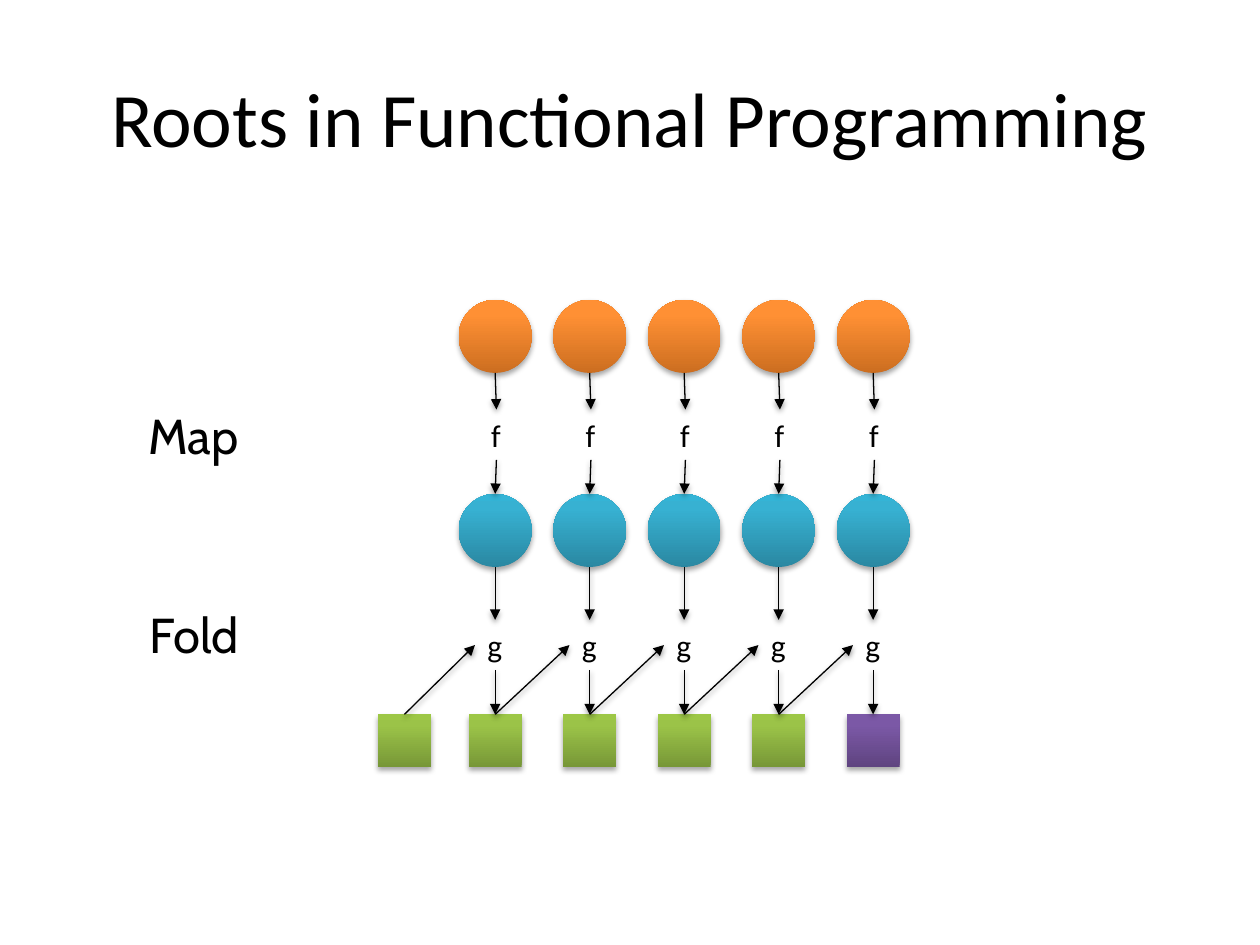
from copy import deepcopy
from dataclasses import dataclass

from lxml import etree
from pptx import Presentation
from pptx.dml.color import RGBColor
from pptx.enum.dml import MSO_FILL
from pptx.enum.shapes import MSO_CONNECTOR, MSO_SHAPE
from pptx.enum.text import MSO_ANCHOR, MSO_AUTO_SIZE, PP_ALIGN
from pptx.oxml.ns import qn
from pptx.shapes.autoshape import Shape
from pptx.shapes.connector import Connector
from pptx.slide import Slide
from pptx.util import Inches, Pt

CIRCLE, SQUARE = MSO_SHAPE.OVAL, MSO_SHAPE.RECTANGLE
STRAIGHT = MSO_CONNECTOR.STRAIGHT
CENTER, MIDDLE = PP_ALIGN.CENTER, MSO_ANCHOR.MIDDLE
FIT_SHAPE = MSO_AUTO_SIZE.SHAPE_TO_FIT_TEXT
GRADIENT = MSO_FILL.GRADIENT
TOP, LEFT, BOTTOM = 0, 1, 2

BLACK = RGBColor(0x00, 0x00, 0x00)
ORANGE = (RGBColor(0xCC, 0x6E, 0x20), RGBColor(0xFF, 0x90, 0x34), RGBColor(0xFF, 0x91, 0x36))
BLUE = (RGBColor(0x2A, 0x88, 0xA2), RGBColor(0x37, 0xB1, 0xD2), RGBColor(0x34, 0xB4, 0xD6))
GREEN = (RGBColor(0x77, 0x97, 0x37), RGBColor(0x9B, 0xC3, 0x48), RGBColor(0x9D, 0xC7, 0x46))
PURPLE = (RGBColor(0x5F, 0x44, 0x80), RGBColor(0x7B, 0x58, 0xA6), RGBColor(0x7C, 0x57, 0xA8))
STOP_POSITIONS = (0, 0.8, 1)

# Column grid and row tops, in inches
COLUMNS = 5
FIRST_CENTER, COLUMN_STEP = 3.93, 0.75
SEED_CENTER = 3.21
INPUT_TOP, F_TOP, MAPPED_TOP, G_TOP, RESULT_TOP = 2.38, 3.25, 3.92, 4.92, 5.67
CIRCLE_SIZE, SQUARE_SIZE = 0.58, 0.42


@dataclass(frozen=True)
class Label:
    text: str
    left: float
    top: float
    width: float
    height: float
    size: int = 18
    font: str = "Calibri"


@dataclass(frozen=True)
class Site:
    """A connection site on a shape."""
    shape: Shape
    index: int


def add_shadow(item: Shape | Connector, distance: float, opacity: int) -> None:
    properties = item._element.spPr
    for old in properties.findall(qn("a:effectLst")):
        properties.remove(old)
    effects = etree.SubElement(properties, qn("a:effectLst"))
    shadow = etree.SubElement(effects, qn("a:outerShdw"), blurRad=str(Pt(3.1)),
                              dist=str(Pt(distance)), dir="5400000", rotWithShape="0")
    color = etree.SubElement(shadow, qn("a:srgbClr"), val=str(BLACK))
    etree.SubElement(color, qn("a:alpha"), val=str(opacity * 1000))


def add_node(slide: Slide, kind: MSO_SHAPE, center: float, top: float,
             size: float, colors: tuple[RGBColor, ...]) -> Shape:
    shape = slide.shapes.add_shape(kind, Inches(center - size / 2), Inches(top),
                                   Inches(size), Inches(size))
    shape.line.fill.background()
    shape.fill.gradient()
    shape.fill.gradient_angle = 90
    stop_list = shape._element.spPr.find(f".//{qn('a:gsLst')}")
    stop_list.append(deepcopy(stop_list[-1]))
    for stop, color, position in zip(shape.fill.gradient_stops, colors, STOP_POSITIONS):
        stop.color.rgb = color
        stop.position = position
    add_shadow(shape, 1.8, 35)
    return shape


def add_label(slide: Slide, label: Label) -> Shape:
    box = slide.shapes.add_textbox(Inches(label.left), Inches(label.top),
                                   Inches(label.width), Inches(label.height))
    box.text_frame.word_wrap = False
    box.text_frame.auto_size = FIT_SHAPE
    paragraph = box.text_frame.paragraphs[0]
    paragraph.text = label.text
    paragraph.font.size = Pt(label.size)
    paragraph.font.name = label.font
    paragraph.font.color.rgb = BLACK
    return box


def add_arrow(slide: Slide, begin: Site, end: Site) -> None:
    start = begin.shape
    # A circle's lowest point is set by position; other sites are joined
    begin_x, begin_y = start.left + start.width // 2, start.top + start.height
    arrow = slide.shapes.add_connector(STRAIGHT, begin_x, begin_y, begin_x, begin_y)
    if start.fill.type != GRADIENT or begin.index != BOTTOM:
        arrow.begin_connect(start, begin.index)
    arrow.end_connect(end.shape, end.index)
    arrow.line.color.rgb = BLACK
    arrow.line.width = Pt(0.75)
    etree.SubElement(arrow.line._get_or_add_ln(), qn("a:tailEnd"), type="triangle")
    add_shadow(arrow, 1.6, 38)


def add_title(slide: Slide, text: str) -> None:
    title = slide.shapes.title
    title.left, title.top = Inches(0.5), Inches(0.3)
    title.width, title.height = Inches(9), Inches(1.25)
    title.text_frame.vertical_anchor = MIDDLE
    paragraph = title.text_frame.paragraphs[0]
    paragraph.text = text
    paragraph.alignment = CENTER
    paragraph.font.size = Pt(44)
    paragraph.font.name = "Calibri"
    paragraph.font.color.rgb = BLACK


def main() -> None:
    presentation = Presentation()
    presentation.slide_width, presentation.slide_height = Inches(10), Inches(7.5)
    slide = presentation.slides.add_slide(presentation.slide_layouts[5])
    add_title(slide, "Roots in Functional Programming")

    # Row names
    add_label(slide, Label("Map", 1.08, 3.17, 1.06, 0.57, 28, "Cabin"))
    add_label(slide, Label("Fold", 1.09, 4.75, 1.01, 0.57, 28, "Cabin"))

    # Each column maps its input with f, then folds it into the previous result with g
    previous = add_node(slide, SQUARE, SEED_CENTER, RESULT_TOP, SQUARE_SIZE, GREEN)
    for column in range(COLUMNS):
        center = FIRST_CENTER + column * COLUMN_STEP
        result_colors = PURPLE if column == COLUMNS - 1 else GREEN
        source = add_node(slide, CIRCLE, center, INPUT_TOP, CIRCLE_SIZE, ORANGE)
        mapped = add_node(slide, CIRCLE, center, MAPPED_TOP, CIRCLE_SIZE, BLUE)
        result = add_node(slide, SQUARE, center, RESULT_TOP, SQUARE_SIZE, result_colors)
        f_label = add_label(slide, Label("f", center - 0.13, F_TOP, 0.28, 0.4))
        g_label = add_label(slide, Label("g", center - 0.16, G_TOP, 0.32, 0.4))

        add_arrow(slide, Site(source, BOTTOM), Site(f_label, TOP))
        add_arrow(slide, Site(f_label, BOTTOM), Site(mapped, TOP))
        add_arrow(slide, Site(mapped, BOTTOM), Site(g_label, TOP))
        add_arrow(slide, Site(previous, TOP), Site(g_label, LEFT))
        add_arrow(slide, Site(g_label, BOTTOM), Site(result, TOP))
        previous = result

    presentation.save("out.pptx")


if __name__ == "__main__":
    main()
